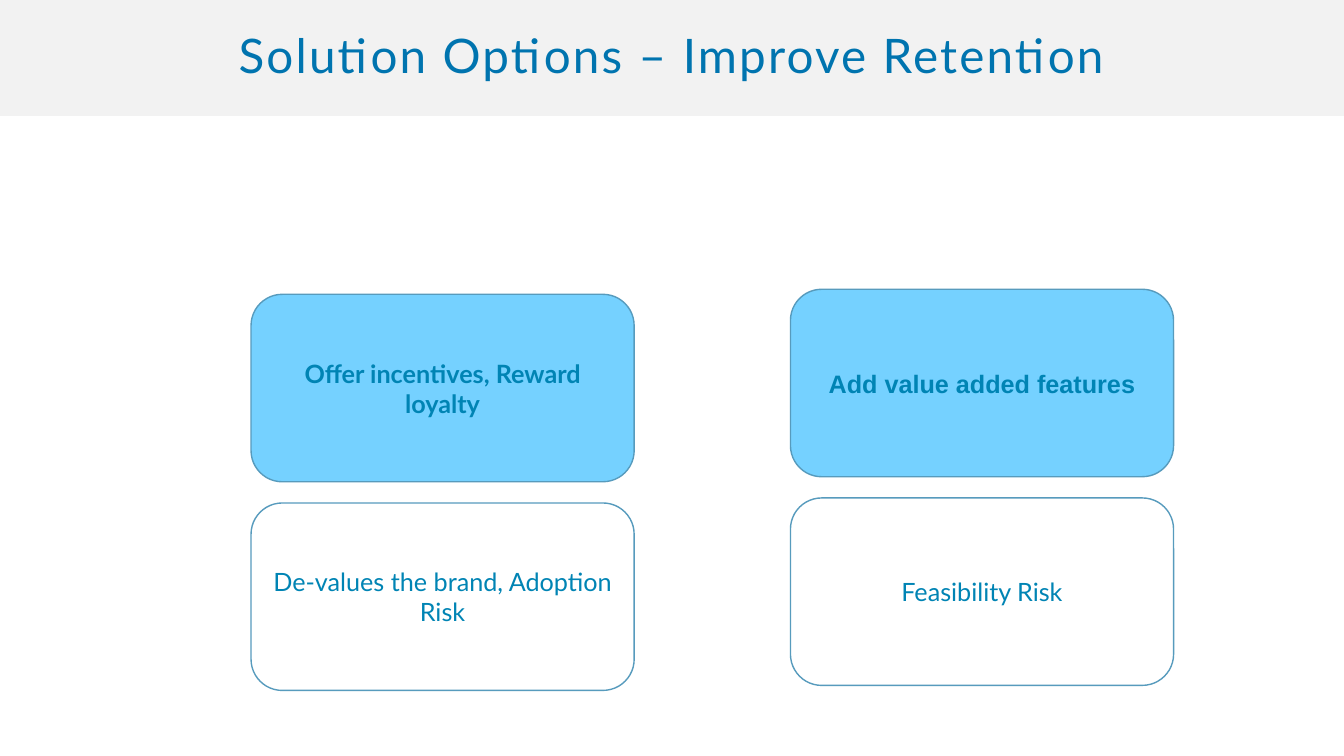
from pptx import Presentation
from pptx.dml.color import RGBColor
from pptx.enum.shapes import MSO_SHAPE
from pptx.enum.text import MSO_ANCHOR, PP_ALIGN
from pptx.util import Inches, Pt

ROUNDED = MSO_SHAPE.ROUNDED_RECTANGLE
MIDDLE = MSO_ANCHOR.MIDDLE
CENTER = PP_ALIGN.CENTER

BAND_GRAY = RGBColor(0xF2, 0xF2, 0xF2)
TITLE_BLUE = RGBColor(0x00, 0x74, 0xAF)
OPTION_FILL = RGBColor(0x75, 0xD1, 0xFF)
OUTLINE_BLUE = RGBColor(0x57, 0x9B, 0xBD)
TEXT_BLUE = RGBColor(0x00, 0x84, 0xB4)

TITLE = "Solution Options – Improve Retention"
OPTIONS = [
    {"top": 2.92, "option": "Offer incentives, Reward loyalty", "font": "Lato",
     "risk": "De-values the brand, Adoption Risk"},
    {"top": 2.87, "option": "Add value added features", "font": "Arial",
     "risk": "Feasibility Risk"},
]

SLIDE_WIDTH, SLIDE_HEIGHT = 13.33, 7.5
TITLE_HEIGHT = 1.15
CARD_WIDTH, CARD_HEIGHT = 3.8, 1.86
FIRST_LEFT, COLUMN_STEP, ROW_STEP = 2.49, 5.35, 2.07


def format_text(shape, text, font_name, size, color, bold=False):
    frame = shape.text_frame
    frame.word_wrap = True
    frame.vertical_anchor = MIDDLE
    paragraph = frame.paragraphs[0]
    paragraph.text = text
    paragraph.alignment = CENTER
    font = paragraph.font
    font.name, font.size, font.bold = font_name, Pt(size), bold
    font.color.rgb = color
    return paragraph


def add_title(slide):
    title = slide.shapes.title
    title.left, title.top = 0, 0
    title.width, title.height = Inches(SLIDE_WIDTH), Inches(TITLE_HEIGHT)
    title.fill.solid()
    title.fill.fore_color.rgb = BAND_GRAY
    paragraph = format_text(title, TITLE, "Lato", 34, TITLE_BLUE)
    paragraph.line_spacing = 0.9
    paragraph.runs[0].font._element.set("spc", "160")
    frame = title.text_frame
    frame.margin_left = frame.margin_right = Inches(0.5)
    frame.margin_top = frame.margin_bottom = Inches(0.05)


def add_card(slide, left, top, text, font_name, is_option):
    card = slide.shapes.add_shape(ROUNDED, Inches(left), Inches(top),
                                  Inches(CARD_WIDTH), Inches(CARD_HEIGHT))
    card.shadow.inherit = False
    if is_option:
        card.fill.solid()
        card.fill.fore_color.rgb = OPTION_FILL
    else:
        card.fill.background()
    card.line.color.rgb = OUTLINE_BLUE
    card.line.width = Pt(1)
    format_text(card, text, font_name, 18, TEXT_BLUE, is_option)


def main():
    presentation = Presentation()
    presentation.slide_width = Inches(SLIDE_WIDTH)
    presentation.slide_height = Inches(SLIDE_HEIGHT)
    slide = presentation.slides.add_slide(presentation.slide_layouts[5])
    add_title(slide)
    for column, entry in enumerate(OPTIONS):
        left = FIRST_LEFT + column * COLUMN_STEP
        add_card(slide, left, entry["top"], entry["option"], entry["font"], True)
        add_card(slide, left, entry["top"] + ROW_STEP, entry["risk"], "Lato", False)
    presentation.save("out.pptx")


if __name__ == "__main__":
    main()
